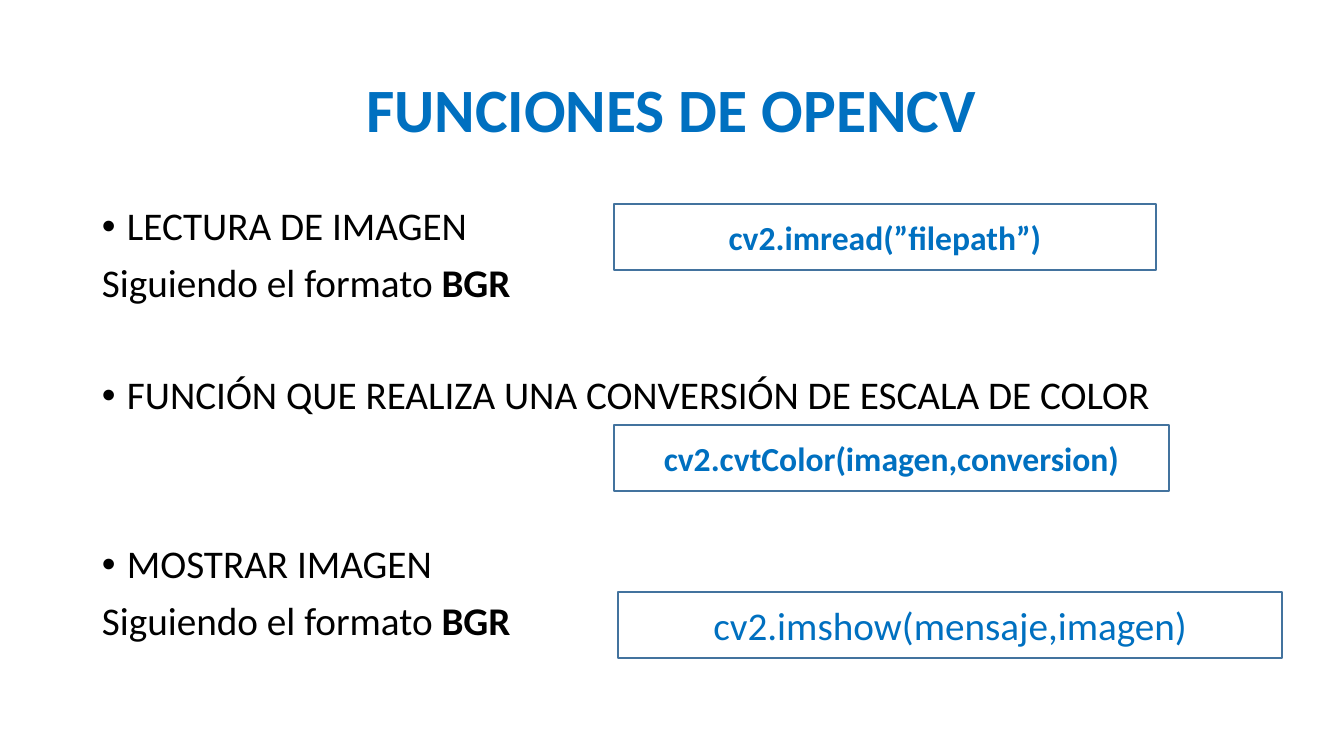
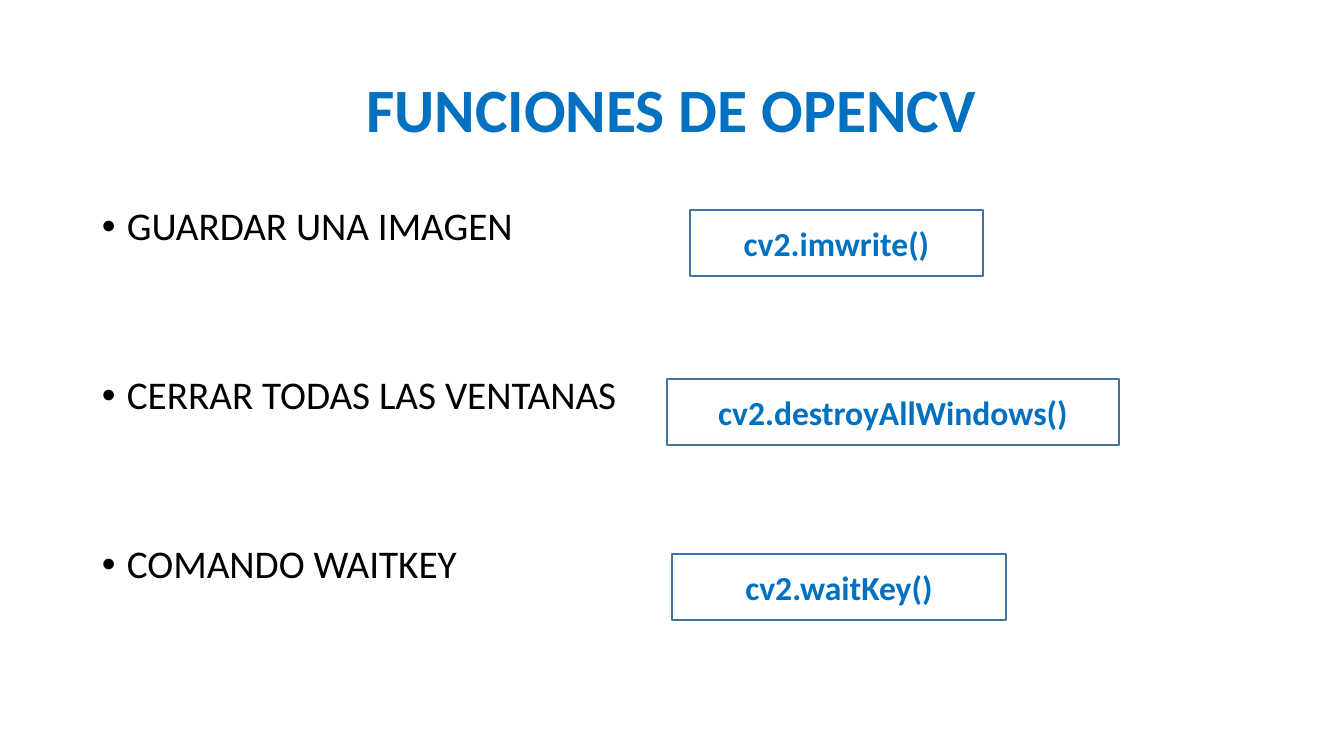
from dataclasses import dataclass

from lxml import etree
from pptx import Presentation
from pptx.dml.color import RGBColor
from pptx.enum.shapes import MSO_SHAPE
from pptx.enum.text import MSO_ANCHOR, PP_ALIGN
from pptx.oxml.ns import qn
from pptx.util import Pt

RECTANGLE = MSO_SHAPE.RECTANGLE
MIDDLE, TOP = MSO_ANCHOR.MIDDLE, MSO_ANCHOR.TOP
CENTER, LEFT = PP_ALIGN.CENTER, PP_ALIGN.LEFT

SLIDE_WIDTH, SLIDE_HEIGHT = 1344, 756
SCALE = 12192000 / SLIDE_WIDTH  # EMU per px


@dataclass(frozen=True)
class Theme:
    font: str = "Calibri"
    accent: RGBColor = RGBColor(0x00, 0x70, 0xC0)
    text: RGBColor = RGBColor(0x00, 0x00, 0x00)
    box_fill: RGBColor = RGBColor(0xFF, 0xFF, 0xFF)
    box_line: RGBColor = RGBColor(0x43, 0x73, 0x9E)
    title_size: int = 44
    body_size: int = 28
    code_size: int = 24
    line_spacing: float = 0.9
    paragraph_gap: int = 10
    skipped_line: float = 40.24  # one body line with its gap, in points


THEME = Theme()
TITLE = "FUNCIONES DE OPENCV"
TITLE_AREA = (92, 40, 1159, 146)
BODY_AREA = (92, 202, 1159, 480)
BOX_HEIGHT = 66
BULLET_INDENT = 25
BGR_NOTE = (False, 0, [("Siguiendo el formato ", False), ("BGR", True)])

# Lines: bulleted, skipped lines above, runs (text, bold)
# Boxes: left, top, width, code, size, bold
SLIDES = [
    {
        "lines": [
            (True, 0, [("LECTURA DE IMAGEN", False)]),
            BGR_NOTE,
            (True, 1, [("FUNCIÓN QUE REALIZA UNA CONVERSIÓN DE ESCALA DE COLOR", False)]),
            (True, 2, [("MOSTRAR IMAGEN", False)]),
            BGR_NOTE,
        ],
        "boxes": [
            (614, 204, 542, "cv2.imread(”filepath”)", THEME.code_size, True),
            (614, 425, 555, "cv2.cvtColor(imagen,conversion)", THEME.code_size, True),
            (618, 592, 664, "cv2.imshow(mensaje,imagen)", THEME.body_size, False),
        ],
    },
    {
        "lines": [
            (True, 0, [("GUARDAR UNA IMAGEN", False)]),
            (True, 2, [("CERRAR TODAS LAS VENTANAS", False)]),
            (True, 2, [("COMANDO WAITKEY", False)]),
        ],
        "boxes": [
            (690, 210, 293, "cv2.imwrite()", THEME.code_size, True),
            (667, 379, 452, "cv2.destroyAllWindows()", THEME.code_size, True),
            (672, 554, 334, "cv2.waitKey()", THEME.code_size, True),
        ],
    },
]


def px(*lengths):
    return [round(length * SCALE) for length in lengths]


def write(paragraph, runs, size, color, align):
    paragraph.alignment = align
    for text, bold in runs:
        run = paragraph.add_run()
        run.text = text
        run.font.name = THEME.font
        run.font.size = Pt(size)
        run.font.bold = bold
        run.font.color.rgb = color


presentation = Presentation()
presentation.slide_width, presentation.slide_height = px(SLIDE_WIDTH, SLIDE_HEIGHT)
blank_layout = presentation.slide_layouts[6]

for content in SLIDES:
    slide = presentation.slides.add_slide(blank_layout)

    # Title
    title_frame = slide.shapes.add_textbox(*px(*TITLE_AREA)).text_frame
    title_frame.word_wrap = True
    title_frame.vertical_anchor = MIDDLE
    title_frame.paragraphs[0].line_spacing = THEME.line_spacing
    write(title_frame.paragraphs[0], [(TITLE, True)], THEME.title_size, THEME.accent, CENTER)

    # Body text
    body_frame = slide.shapes.add_textbox(*px(*BODY_AREA)).text_frame
    body_frame.word_wrap = True
    body_frame.vertical_anchor = TOP
    for index, (bulleted, skipped, runs) in enumerate(content["lines"]):
        paragraph = body_frame.add_paragraph() if index else body_frame.paragraphs[0]
        paragraph.line_spacing = THEME.line_spacing
        paragraph.space_before = Pt(THEME.paragraph_gap + skipped * THEME.skipped_line)
        write(paragraph, runs, THEME.body_size, THEME.text, LEFT)
        if bulleted:
            properties = paragraph._p.get_or_add_pPr()
            indent = px(BULLET_INDENT)[0]
            properties.set("marL", str(indent))
            properties.set("indent", str(-indent))
            etree.SubElement(properties, qn("a:buFont"), typeface="Arial")
            etree.SubElement(properties, qn("a:buChar"), char="•")

    # Code boxes
    for left, top, width, code, size, bold in content["boxes"]:
        shape = slide.shapes.add_shape(RECTANGLE, *px(left, top, width, BOX_HEIGHT))
        shape.shadow.inherit = False
        shape.fill.solid()
        shape.fill.fore_color.rgb = THEME.box_fill
        shape.line.color.rgb = THEME.box_line
        shape.line.width = Pt(1)
        shape.text_frame.word_wrap = True
        shape.text_frame.vertical_anchor = MIDDLE
        write(shape.text_frame.paragraphs[0], [(code, bold)], size, THEME.accent, CENTER)

presentation.save("out.pptx")
